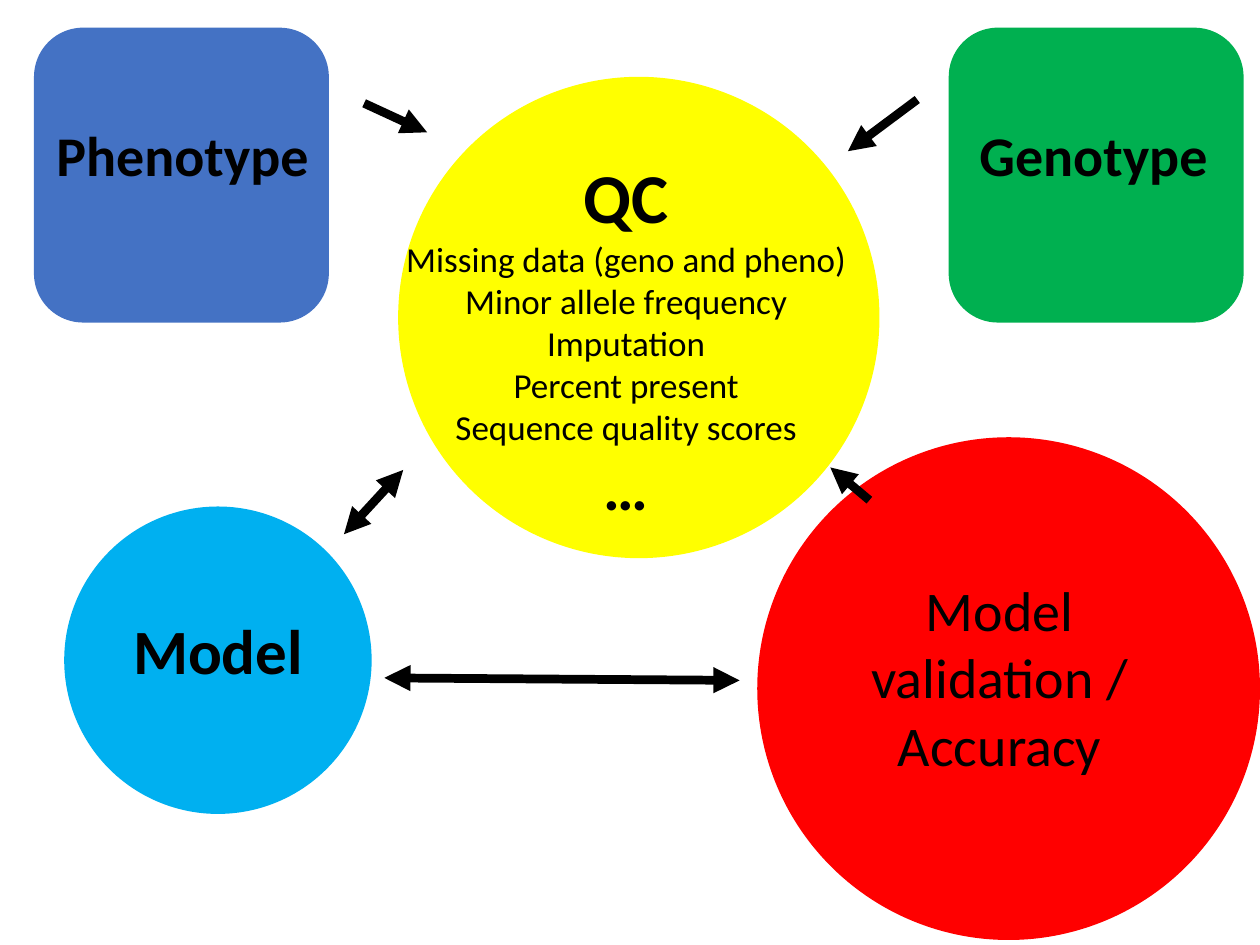
from lxml.etree import SubElement
from pptx import Presentation
from pptx.dml.color import RGBColor
from pptx.enum.shapes import MSO_CONNECTOR, MSO_SHAPE as Shape
from pptx.enum.text import MSO_AUTO_SIZE as AutoSize, PP_ALIGN as Align
from pptx.oxml.ns import qn
from pptx.util import Inches, Pt


def color(hex_value):
    return RGBColor.from_string(hex_value)


class Diagram:
    font = "Calibri"
    ink = "000000"
    arrow_width = 5

    def __init__(self, page):
        self.page = page

    def node(self, kind, left, top, size, fill):
        """Draw a shape that is as wide as it is high."""
        shape = self.page.shapes.add_shape(
            kind, Inches(left), Inches(top), Inches(size), Inches(size))
        shape.shadow.inherit = False
        shape.fill.solid()
        shape.fill.fore_color.rgb = color(fill)
        shape.line.fill.background()

    def label(self, left, top, width, height, lines):
        """Write centred lines, each given as (text, size, bold)."""
        box = self.page.shapes.add_textbox(
            Inches(left), Inches(top), Inches(width), Inches(height))
        frame = box.text_frame
        frame.word_wrap = True
        frame.auto_size = AutoSize.SHAPE_TO_FIT_TEXT
        frame.text = "\n".join(text for text, _, _ in lines)
        for para, (_, size, bold) in zip(frame.paragraphs, lines):
            para.alignment = Align.CENTER
            for span in para.runs:
                span.font.name = self.font
                span.font.size = Pt(size)
                span.font.bold = bold
                span.font.color.rgb = color(self.ink)

    def arrow(self, start, end, both_ways=False):
        line = self.page.shapes.add_connector(
            MSO_CONNECTOR.STRAIGHT, *(Inches(value) for value in start + end))
        line.line.width = Pt(self.arrow_width)
        line.line.color.rgb = color(self.ink)
        outline = line.line._get_or_add_ln()
        for tip in ("a:headEnd", "a:tailEnd") if both_ways else ("a:tailEnd",):
            SubElement(outline, qn(tip), type="triangle")
        SubElement(line._element.spPr, qn("a:effectLst"))


def main():
    deck = Presentation()
    deck.slide_width, deck.slide_height = Inches(10), Inches(7.5)
    diagram = Diagram(deck.slides.add_slide(deck.slide_layouts[6]))

    # Input data
    for name, left, label_left, fill in (
            ("Phenotype", 0.27, 0.28, "4472C4"),
            ("Genotype", 7.53, 7.51, "00B050")):
        diagram.node(Shape.ROUNDED_RECTANGLE, left, 0.22, 2.34, fill)
        diagram.label(label_left, 0.91, 2.34, 0.64, [(name, 32, True)])

    # Quality control
    checks = ("Missing data (geno and pheno)", "Minor allele frequency",
              "Imputation", "Percent present", "Sequence quality scores")
    diagram.node(Shape.OVAL, 3.16, 0.61, 3.82, "FFFF00")
    diagram.label(3.04, 1.17, 3.86, 3.35, [
        ("QC", 40, True),
        *((check, 20, False) for check in checks),
        ("…", 36, True)])

    # Model
    diagram.node(Shape.OVAL, 0.51, 4.02, 2.44, "00B0F0")
    diagram.label(0.89, 4.8, 1.68, 0.71, [("Model", 36, True)])

    # Validation
    diagram.node(Shape.OVAL, 6.01, 3.47, 3.99, "FF0000")
    diagram.label(6.73, 4.52, 2.41, 1.72,
                  [("Model validation / Accuracy", 32, False)])

    # Flow between the steps
    diagram.arrow((2.89, 0.82), (3.39, 1.05))
    diagram.arrow((7.28, 0.79), (6.73, 1.2))
    diagram.arrow((3.2, 3.73), (2.73, 4.24), both_ways=True)
    diagram.arrow((3.05, 5.38), (5.87, 5.4), both_ways=True)
    diagram.arrow((6.9, 3.97), (6.59, 3.71))

    deck.save("out.pptx")


if __name__ == "__main__":
    main()
